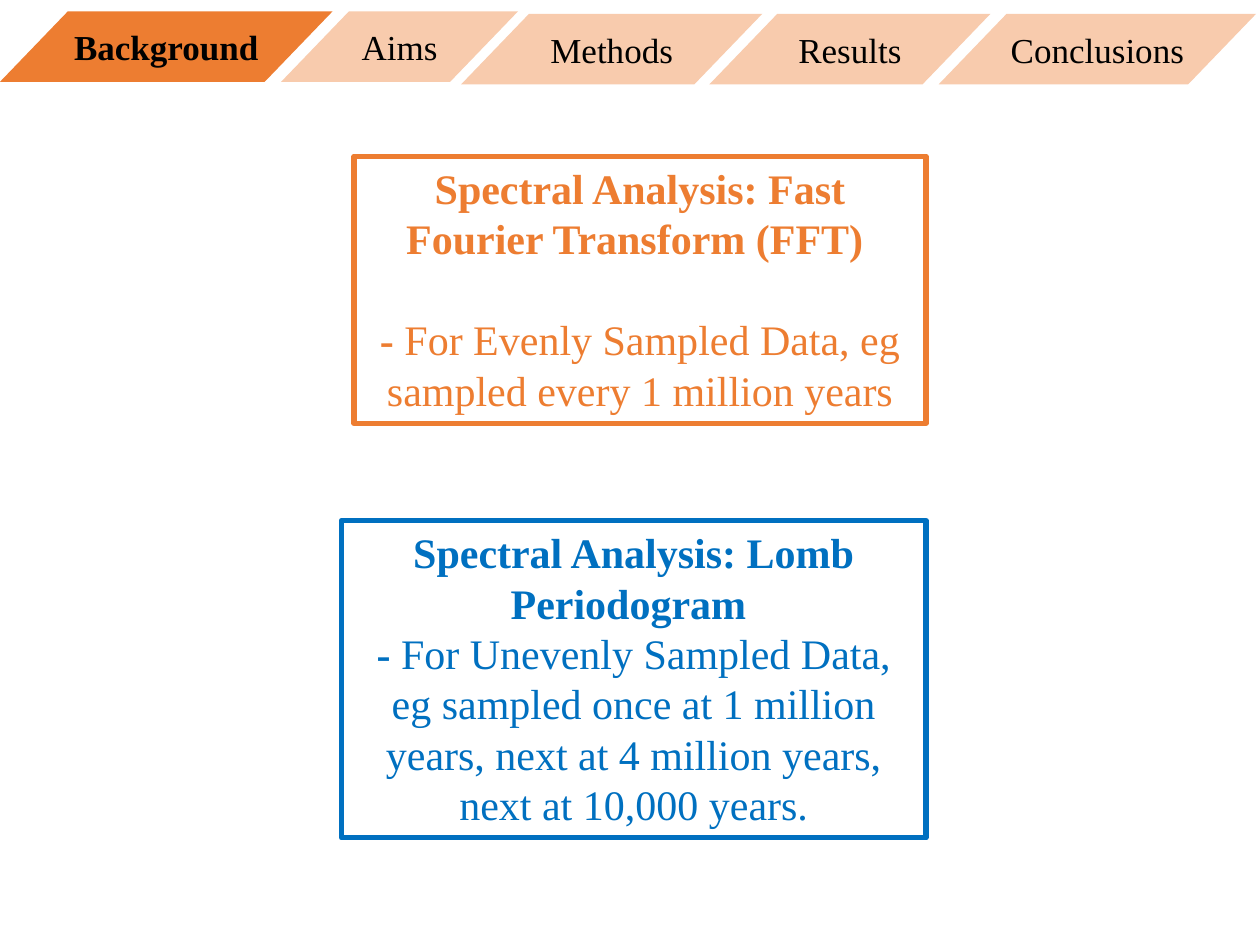
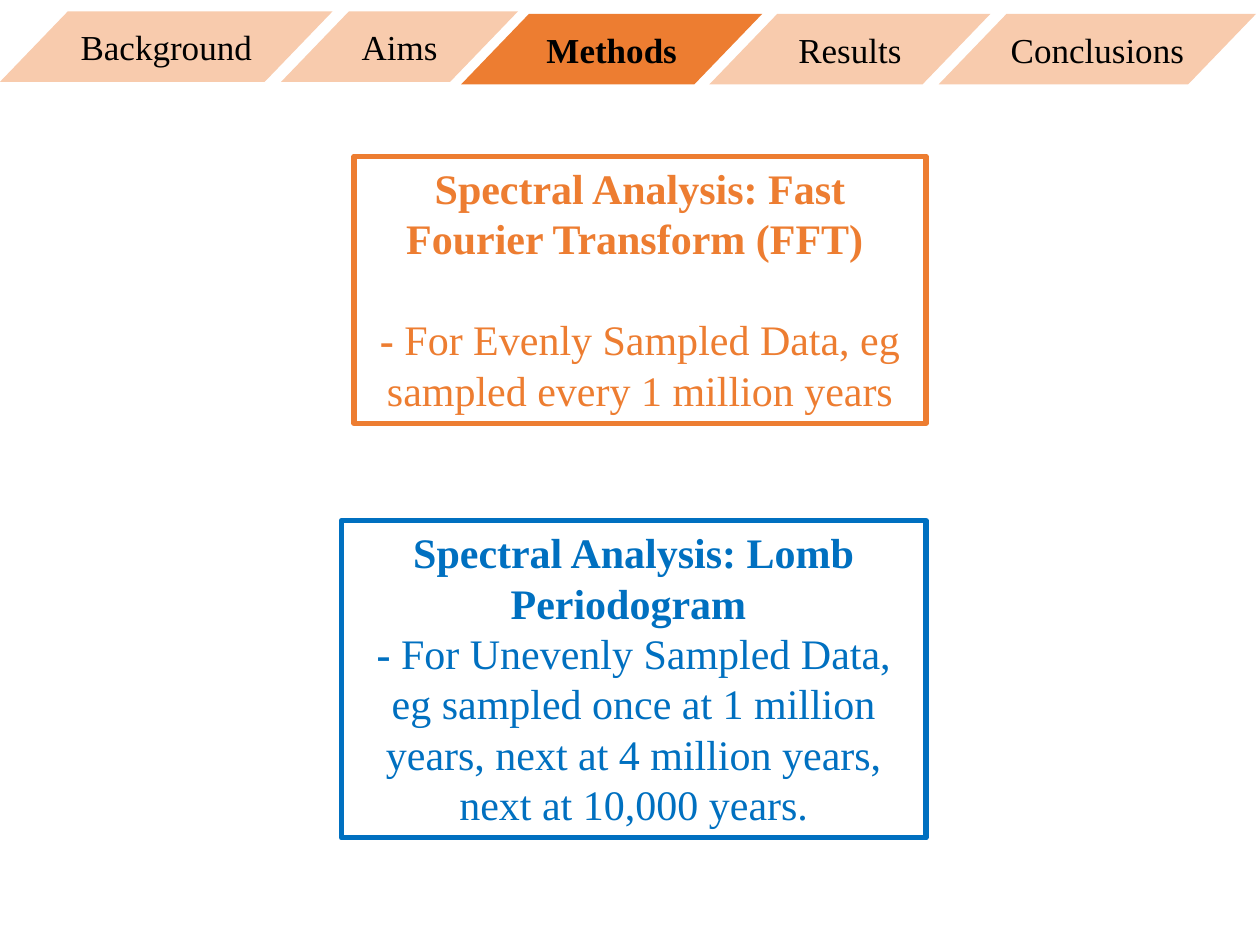
from pptx import Presentation
from pptx.dml.color import RGBColor
from pptx.enum.shapes import MSO_SHAPE
from pptx.enum.text import MSO_ANCHOR, MSO_AUTO_SIZE, PP_ALIGN
from pptx.util import Pt

ORANGE = RGBColor(0xED, 0x7D, 0x31)
PALE_ORANGE = RGBColor(0xF8, 0xCB, 0xAD)
BLUE = RGBColor(0x00, 0x70, 0xC0)
BLACK = RGBColor(0x00, 0x00, 0x00)
FONT = "Times New Roman"

# Navigation band: label, left, top, width
TAB_HEIGHT = 40.3
TABS = [
    ("Background", 0, 6.5, 190.1),
    ("Aims", 160.6, 6.5, 135.4),
    ("Methods", 263.5, 7.9, 172.1),
    ("Results", 405.4, 7.9, 160.6),
    ("Conclusions", 536.4, 7.9, 181.4),
]

# Method boxes: position, colour, heading, description, gap between them
METHOD_BOXES = [
    ((195.1, 297.4, 334.1, 181.4), BLUE, "Spectral Analysis: Lomb Periodogram ",
     "For Unevenly Sampled Data, eg sampled once at 1 million years, "
     "next at 4 million years, next at 10,000 years.", 0),
    ((202.3, 89.3, 326.9, 152.6), ORANGE, "Spectral Analysis: Fast Fourier Transform (FFT) ",
     "For Evenly Sampled Data, eg sampled every 1 million years", 28.8),
]


def style_paragraph(paragraph, size, color, bold):
    paragraph.alignment = PP_ALIGN.CENTER
    for run in paragraph.runs:
        run.font.name = FONT
        run.font.size = Pt(size)
        run.font.bold = bold
        run.font.color.rgb = color


presentation = Presentation()
presentation.slide_width = Pt(720)
presentation.slide_height = Pt(540)

for active_section in ("Background", "Methods"):
    slide = presentation.slides.add_slide(presentation.slide_layouts[6])

    # Section tabs, with the active one highlighted
    for label, left, top, width in TABS:
        active = label == active_section
        tab = slide.shapes.add_shape(MSO_SHAPE.PARALLELOGRAM, Pt(left), Pt(top),
                                     Pt(width), Pt(TAB_HEIGHT))
        tab.adjustments[0] = 0.963
        tab.shadow.inherit = False
        tab.fill.solid()
        tab.fill.fore_color.rgb = ORANGE if active else PALE_ORANGE
        tab.line.fill.background()
        tab.text_frame.text = label
        tab.text_frame.vertical_anchor = MSO_ANCHOR.MIDDLE
        style_paragraph(tab.text_frame.paragraphs[0], 20, BLACK, active)

    # Outlined boxes for the two spectral methods
    for position, color, heading, description, gap in METHOD_BOXES:
        box = slide.shapes.add_textbox(*(Pt(length) for length in position))
        box.line.color.rgb = color
        box.line.width = Pt(3)
        text_frame = box.text_frame
        text_frame.word_wrap = True
        text_frame.auto_size = MSO_AUTO_SIZE.SHAPE_TO_FIT_TEXT
        text_frame.text = heading
        style_paragraph(text_frame.paragraphs[0], 24, color, True)

        paragraph = text_frame.add_paragraph()
        paragraph.text = "- "
        paragraph.add_run().text = description
        paragraph.space_before = Pt(gap)
        style_paragraph(paragraph, 24, color, True)
        paragraph.runs[1].font.bold = False

presentation.save("out.pptx")
